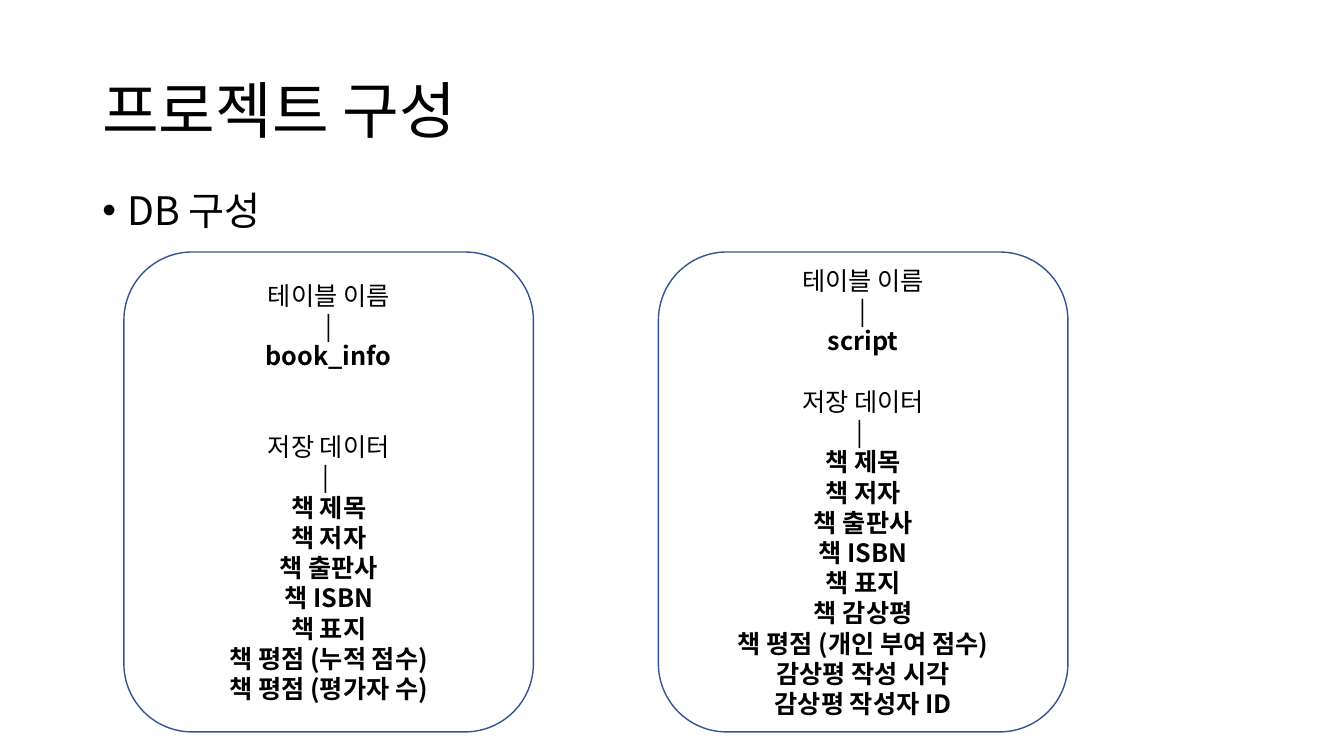
"""Build a slide showing the two database tables of the project."""
from lxml import etree
from pptx import Presentation
from pptx.dml.color import RGBColor
from pptx.enum.shapes import MSO_SHAPE
from pptx.enum.text import MSO_ANCHOR, PP_ALIGN
from pptx.oxml.ns import qn
from pptx.util import Pt

TITLE = "프로젝트 구성"
TOPIC = "DB 구성"
NAME_LABEL = ["테이블 이름", "|"]
DATA_LABEL = ["저장 데이터", "| "]
BOOK_FIELDS = ["책 제목", "책 저자", "책 출판사", "책 ISBN", "책 표지"]
TABLES = [
    ("book_info", 2, BOOK_FIELDS + ["책 평점 (누적 점수)", "책 평점 (평가자 수)"]),
    ("script", 1, BOOK_FIELDS + ["책 감상평", "책 평점 (개인 부여 점수)",
                                 "감상평 작성 시각", "감상평 작성자 ID"]),
]
FONT = "Noto Sans CJK KR"
BLACK, WHITE, OUTLINE = "000000", "FFFFFF", "325491"
MARGIN, CONTENT_WIDTH = 66, 828
CARD_LEFT, CARD_TOP, CARD_STEP = 88.5, 180, 381.8
CARD_WIDTH, CARD_HEIGHT = 292.5, 342.8
LINE_HEIGHT = 21.6


def color(value):
    return RGBColor.from_string(value)


def write(paragraph, text, size, bold=False):
    paragraph.text = text
    for run in paragraph.runs:
        run.font.name = FONT
        run.font.size = Pt(size)
        run.font.bold = bold
        run.font.color.rgb = color(BLACK)
        east_asian = etree.SubElement(run.font._element, qn("a:ea"))
        east_asian.set("typeface", FONT)


def add_heading(slide, text, top, height, size, anchor):
    box = slide.shapes.add_textbox(Pt(MARGIN), Pt(top), Pt(CONTENT_WIDTH), Pt(height))
    frame = box.text_frame
    frame.word_wrap = True
    frame.vertical_anchor = anchor
    paragraph = frame.paragraphs[0]
    write(paragraph, text, size)
    paragraph.line_spacing = 0.9
    return paragraph


def add_bullet(paragraph, indent):
    properties = paragraph._p.get_or_add_pPr()
    properties.set("marL", str(Pt(indent)))
    properties.set("indent", str(Pt(-indent)))
    etree.SubElement(properties, qn("a:buFont")).set("typeface", "Arial")
    etree.SubElement(properties, qn("a:buChar")).set("char", "•")


def add_card(slide, left, name, gap_lines, fields):
    card = slide.shapes.add_shape(MSO_SHAPE.ROUNDED_RECTANGLE, Pt(left), Pt(CARD_TOP),
                                  Pt(CARD_WIDTH), Pt(CARD_HEIGHT))
    card.shadow.inherit = False
    card.fill.solid()
    card.fill.fore_color.rgb = color(WHITE)
    card.line.color.rgb = color(OUTLINE)
    card.line.width = Pt(1)
    frame = card.text_frame
    frame.word_wrap = True
    frame.vertical_anchor = MSO_ANCHOR.MIDDLE
    lines = NAME_LABEL + [name] + DATA_LABEL + fields
    frame.text = "\n".join(lines)
    for line, paragraph in zip(lines, frame.paragraphs):
        write(paragraph, line, 18, bold=line not in NAME_LABEL + DATA_LABEL)
        paragraph.alignment = PP_ALIGN.CENTER
        paragraph.line_spacing = Pt(LINE_HEIGHT)
        if line == DATA_LABEL[0]:
            paragraph.space_before = Pt(gap_lines * LINE_HEIGHT)


def main():
    deck = Presentation()
    deck.slide_width, deck.slide_height = Pt(960), Pt(540)
    slide = deck.slides.add_slide(deck.slide_layouts[6])
    add_heading(slide, TITLE, 28.8, 104.4, 44, MSO_ANCHOR.MIDDLE)
    topic = add_heading(slide, TOPIC, 133.2, 342.7, 28, MSO_ANCHOR.TOP)
    topic.space_before = Pt(10)
    add_bullet(topic, 18)
    for index, table in enumerate(TABLES):
        add_card(slide, CARD_LEFT + index * CARD_STEP, *table)
    deck.save("out.pptx")


if __name__ == "__main__":
    main()
